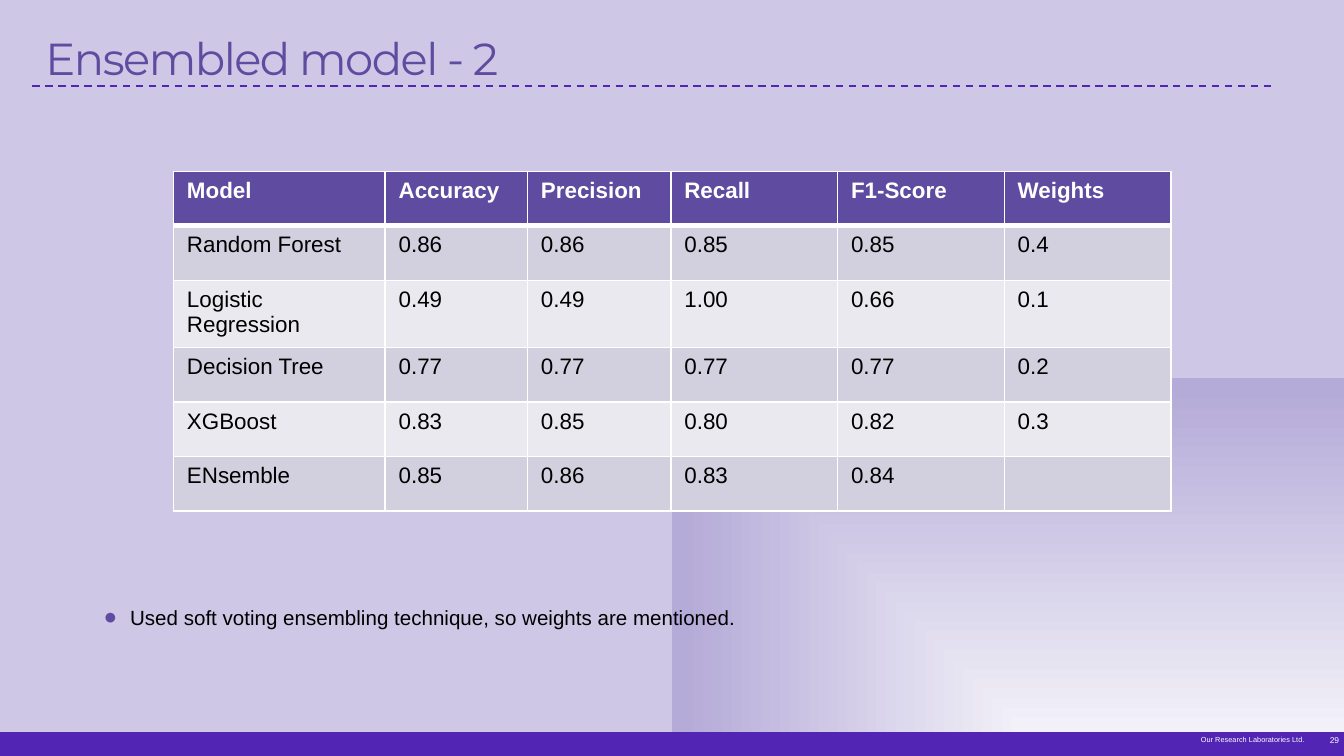
from pptx import Presentation
from pptx.dml.color import RGBColor
from pptx.enum.dml import MSO_LINE
from pptx.enum.shapes import MSO_CONNECTOR, MSO_SHAPE
from pptx.enum.text import PP_ALIGN
from pptx.oxml import parse_xml
from pptx.oxml.ns import nsdecls, qn
from pptx.util import Cm, Pt

DEEP = RGBColor(0x52, 0x25, 0xB5)
VIOLET = RGBColor(0x5F, 0x4B, 0xA0)
DARK = RGBColor(0xD2, 0xD0, 0xDF)
PALE = RGBColor(0xEA, 0xE9, 0xF0)
WHITE = RGBColor(0xFF, 0xFF, 0xFF)
BLACK = RGBColor(0x00, 0x00, 0x00)
GLOW = RGBColor(0xF7, 0xF6, 0xFB)
MAUVE = RGBColor(0xB5, 0xAB, 0xD8)
LILAC = RGBColor(0xCE, 0xC7, 0xE5)

ROWS = [
    ("Model", "Accuracy", "Precision", "Recall", "F1-Score", "Weights"),
    ("Random Forest", "0.86", "0.86", "0.85", "0.85", "0.4"),
    ("Logistic Regression", "0.49", "0.49", "1.00", "0.66", "0.1"),
    ("Decision Tree", "0.77", "0.77", "0.77", "0.77", "0.2"),
    ("XGBoost", "0.83", "0.85", "0.80", "0.82", "0.3"),
    ("ENsemble", "0.85", "0.86", "0.83", "0.84", ""),
]
WIDTHS = (4, 2.69, 2.71, 3.15, 3.15, 3.15)


def add_run(para, text, size, color, face="Arial", bold=False):
    run = para.add_run()
    run.text = text
    font = run.font
    font.size, font.name, font.bold = Pt(size), face, bold
    font.color.rgb = color
    return run


def add_text(slide, box, pad=0):
    frame = slide.shapes.add_textbox(*map(Cm, box)).text_frame
    frame.word_wrap = True
    frame.margin_left = frame.margin_right = Cm(pad)
    frame.margin_top = frame.margin_bottom = Cm(pad)
    return frame.paragraphs[0]


def add_back(slide):
    stops = ((0, GLOW), (97, MAUVE), (100, MAUVE), (100, LILAC))
    marks = "".join(
        f'<a:gs pos="{pos * 1000}"><a:srgbClr val="{color}"/></a:gs>'
        for pos, color in stops
    )
    slide.background.fill.solid()
    props = slide.element.find(".//" + qn("p:bgPr"))
    props.replace(props[0], parse_xml(
        f'<a:gradFill {nsdecls("a")} rotWithShape="1"><a:gsLst>{marks}</a:gsLst>'
        '<a:path path="rect"><a:fillToRect l="100000" t="100000"/></a:path>'
        '</a:gradFill>'
    ))


def add_foot(slide, box):
    left, top, width, height = box
    bar = slide.shapes.add_shape(MSO_SHAPE.RECTANGLE, *map(Cm, box))
    bar.shadow.inherit = False
    bar.fill.solid()
    bar.fill.fore_color.rgb = DEEP
    bar.line.fill.background()
    para = add_text(slide, (left + width - 0.96, top, 0.84, 0.3), 0.05)
    para.alignment = PP_ALIGN.RIGHT
    add_run(para, "29", 4.5, WHITE)
    para = add_text(slide, (left + 16.84, top + 0.03, 7.98, 0.38), 0.13)
    para.alignment = PP_ALIGN.RIGHT
    para.line_spacing = 0.8
    add_run(para, "Our Research Laboratories Ltd. ", 3.9, WHITE)


def add_title(slide, box):
    left, top, width, height = box
    level = Cm(top + 0.82)
    rule = slide.shapes.add_connector(
        MSO_CONNECTOR.STRAIGHT, Cm(left - 0.25), level, Cm(left + 23.22), level
    )
    rule.line.color.rgb = DEEP
    rule.line.width = Pt(1)
    rule.line.dash_style = MSO_LINE.DASH
    rule._element.spPr.append(parse_xml(f'<a:effectLst {nsdecls("a")}/>'))
    para = add_text(slide, box)
    para.line_spacing = 0.75
    run = add_run(para, "Ensembled model - 2", 24, VIOLET, "Montserrat")
    run.font._element.set("spc", "-80")


def add_note(slide, box):
    para = add_text(slide, box)
    props = para._p.get_or_add_pPr()
    props.set("marL", str(Cm(0.5)))
    props.set("indent", str(Cm(-0.5)))
    for part in (
        f'<a:buClr {nsdecls("a")}><a:srgbClr val="{VIOLET}"/></a:buClr>',
        f'<a:buSzPct {nsdecls("a")} val="110000"/>',
        f'<a:buFont {nsdecls("a")} typeface="Arial"/>',
        f'<a:buChar {nsdecls("a")} char="●"/>',
    ):
        props.append(parse_xml(part))
    para.space_after = Pt(2)
    text = "Used soft voting ensembling technique, so weights are mentioned."
    add_run(para, text, 11, BLACK)


def add_edge(cell, side, width):
    cell._tc.get_or_add_tcPr().append(parse_xml(
        f'<a:ln{side} {nsdecls("a")} w="{Pt(width)}"><a:solidFill>'
        f'<a:srgbClr val="{WHITE}"/></a:solidFill></a:ln{side}>'
    ))


def add_grid(slide, box):
    frame = slide.shapes.add_table(len(ROWS), len(WIDTHS), *map(Cm, box))
    table = frame.table
    for col, width in zip(table.columns, WIDTHS):
        col.width = Cm(width)
    for i, row in enumerate(ROWS):
        head = i == 0
        table.rows[i].height = Cm(box[3] / len(ROWS))
        for j, text in enumerate(row):
            cell = table.cell(i, j)
            for side in "LRTB":
                thick = (head and side == "B") or (i == 1 and side == "T")
                add_edge(cell, side, 3 if thick else 1)
            cell.fill.solid()
            cell.fill.fore_color.rgb = VIOLET if head else DARK if i % 2 else PALE
            if text:
                para = cell.text_frame.paragraphs[0]
                add_run(para, text, 12, WHITE if head else BLACK, bold=head)


def main():
    deck = Presentation()
    deck.slide_width, deck.slide_height = Cm(25.4), Cm(14.29)
    slide = deck.slides.add_slide(deck.slide_layouts[6])
    add_back(slide)
    add_foot(slide, (0, 13.84, 25.48, 0.48))
    add_title(slide, (0.86, 0.81, 23.6, 1.9))
    add_note(slide, (1.96, 11.43, 20.73, 1.6))
    add_grid(slide, (3.28, 3.24, 18.85, 6.18))
    deck.save("out.pptx")


if __name__ == "__main__":
    main()
